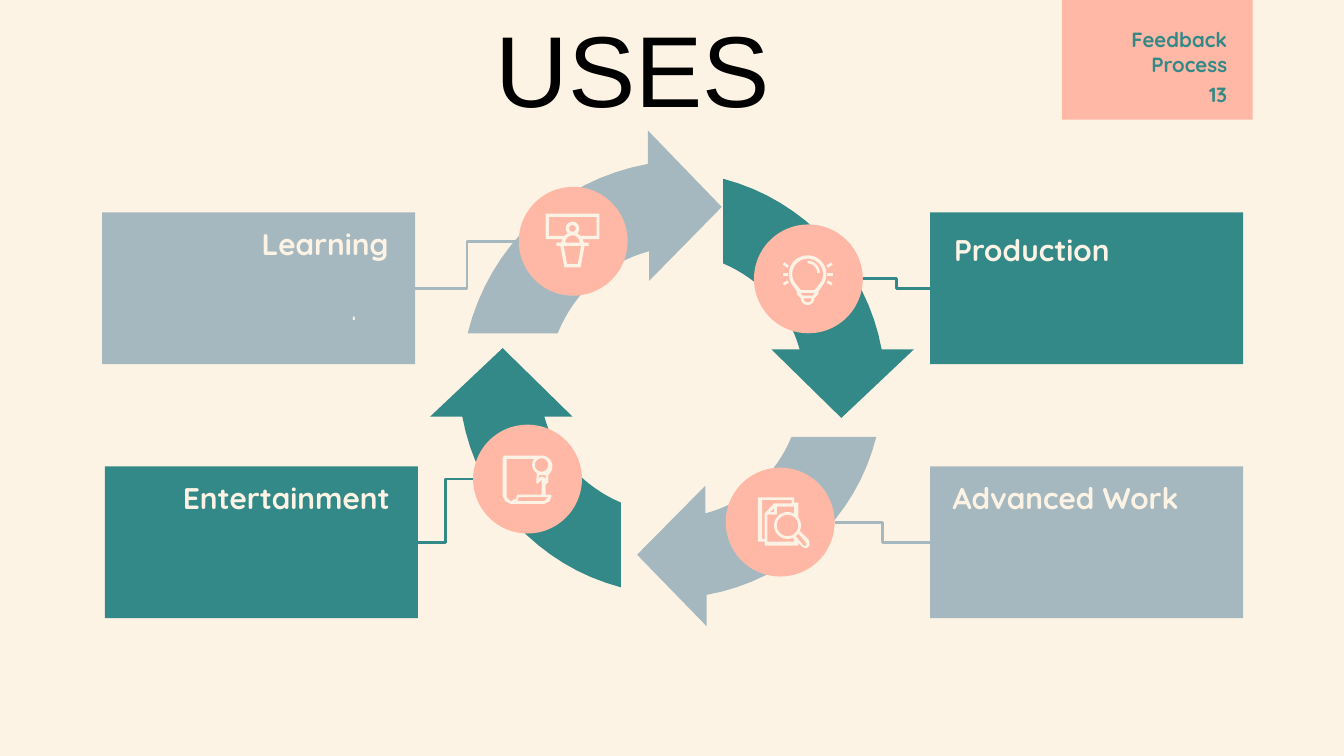
from math import cos, hypot, radians, sin

from lxml import etree
from pptx import Presentation
from pptx.dml.color import RGBColor
from pptx.enum.shapes import MSO_CONNECTOR, MSO_SHAPE
from pptx.enum.text import MSO_ANCHOR, PP_ALIGN
from pptx.oxml.ns import qn
from pptx.util import Inches, Pt

RECTANGLE, OVAL = MSO_SHAPE.RECTANGLE, MSO_SHAPE.OVAL
ELBOW = MSO_CONNECTOR.ELBOW
LEFT, RIGHT = PP_ALIGN.LEFT, PP_ALIGN.RIGHT
TOP, MIDDLE, BOTTOM = MSO_ANCHOR.TOP, MSO_ANCHOR.MIDDLE, MSO_ANCHOR.BOTTOM

COLORS = {"cream": "FDF3E5", "peach": "FFB8A5", "teal": "338987",
          "gray": "A6B8BF", "black": "000000"}
SLIDE_WIDTH = Inches(10)
SLIDE_HEIGHT = SLIDE_WIDTH * 9 // 16
CARD_WIDTH, CARD_HEIGHT, BADGE = 2.33, 1.13, 0.81

# Arrow outlines in hundredths of an inch; six numbers make a Bezier curve
TEAL_ARROW = (142, 178, [(0, 0), (0, 63), (28, 75, 49, 98, 57, 127), (36, 127), (88, 178),
                         (142, 127), (118, 127), (107, 66, 61, 16, 0, 0)])
GRAY_ARROW = (189, 151, [(134, 0), (134, 25), (68, 37, 16, 86, 0, 151), (67, 151),
                         (79, 121, 104, 98, 135, 90), (135, 112), (189, 57)])


def color(name):
    return RGBColor.from_string(COLORS[name])


def arc(x, y, radius, start=0, end=360, steps=24):
    angles = [radians(start + (end - start) * i / steps) for i in range(steps + 1)]
    return [(x + radius * cos(a), y + radius * sin(a)) for a in angles]


def bar(x1, y1, x2, y2, width=2):
    """Outline of a thick stroke between two points."""
    length = hypot(x2 - x1, y2 - y1)
    dx, dy = (y1 - y2) / length * width / 2, (x2 - x1) / length * width / 2
    return [(x1 + dx, y1 + dy), (x2 + dx, y2 + dy), (x2 - dx, y2 - dy), (x1 - dx, y1 - dy)]


def flatten(outline, steps=16):
    points = []
    for node in outline:
        if len(node) == 2:
            points.append(node)
            continue
        corners = [points[-1], node[:2], node[2:4], node[4:]]
        for i in range(1, steps + 1):
            t = i / steps
            weights = ((1 - t) ** 3, 3 * t * (1 - t) ** 2, 3 * t * t * (1 - t), t ** 3)
            points.append(tuple(sum(w * c[axis] for w, c in zip(weights, corners))
                                for axis in (0, 1)))
    return points


# Icons in hundredths of an inch: shapes, each an outer contour followed by its holes
PRESENTER = [[
    [(0, 0), (40, 0), (40, 19), (27.5, 19), (28.5, 21.5), (32, 21.5), (32, 24), (29, 24),
     (26, 40), (14, 40), (11, 24), (8, 24), (8, 21.5), (11.5, 21.5), (12.5, 19), (0, 19)],
    [(2.5, 2.5), (38, 2.5), (38, 16.5), (26, 16.5), *arc(20, 11, 5, 45, -225),
     (14, 16.5), (2.5, 16.5)],
    arc(20, 11, 2.5),
    arc(20, 21.5, 5.3, 180, 360),
    [(13.5, 24), (26.5, 24), (24, 37.5), (16, 37.5)],
]]
BULB = [
    [[*arc(19, 14, 14, 140, 400), (27, 27), (27, 29), (24, 32), *arc(19, 32, 5, 0, 180),
      (11, 29), (11, 27)],
     [*arc(19, 14, 11.5, 140, 400), (24, 26), (14, 26)],
     [(14, 28), (24, 28), (23, 30), (15, 30)],
     arc(19, 32, 3, 0, 180)],
    [arc(19, 13, 9, -90, 0) + arc(19, 13, 7, 0, -90)],
] + [[bar(*ray)] for side in (-1, 1) for ray in (
    (19 + side * 14.5, 14, 19 + side * 18.5, 14),
    (19 + side * 14.5, 8.5, 19 + side * 18, 6),
    (19 + side * 14.5, 19.5, 19 + side * 18, 21.5))]
RESEARCH = [[
    [(0, 0), (27, 0), (27, 4), (30, 4), (30, 15), *arc(22, 21, 10, -35, 30), (31, 25),
     (38, 32), (38.5, 36), (36, 38), (33, 37), (30, 34), (30, 36), (5, 36), (5, 33), (0, 33)],
    [(3, 2), (25, 2), (25, 4.5), (12, 4.5), (5, 12), (5, 31), (3, 31)],
    [(14, 7), (27, 7), *arc(22, 21, 10, -60, -295), (27, 33), (7, 33), (7, 13), (14, 13)],
    arc(22, 21, 8),
    [(12, 8), (12, 11), (9, 11)],
    [(30, 27), (36, 34), (36, 36), (34, 36), (28, 29)],
]]
CERTIFICATE = [[
    [(0, 1), (2, 0), *arc(29, 8, 8, -90, 50), (34, 20), (32, 21.5), (32, 29), (35.5, 29),
     (36.5, 30), (35, 34), (31, 36), (6, 36), (2, 34), (0, 30)],
    arc(29, 7, 5),
    [(27, 14.5), (32, 14.5), (32, 17), (29, 15.5), (27, 17)],
    [(3, 2.5), (24, 2.5), *arc(29, 7, 7, 220, 120), (25, 20), (26, 21), (29, 18), (29, 29),
     (11, 29), (10, 32), (6, 34), (3, 31)],
    [(12, 31), (34, 31), (31, 34), (11, 34)],
]]


def add_block(page, kind, left, top, width, height, fill):
    block = page.shapes.add_shape(kind, Inches(left), Inches(top), Inches(width), Inches(height))
    block.shadow.inherit = False
    block.fill.solid()
    block.fill.fore_color.rgb = color(fill)
    block.line.fill.background()


def add_outline(page, left, top, contours, fill):
    """One filled freeform; contours are hundredths of an inch from left, top."""
    placed = [[(Inches(left + x / 100), Inches(top + y / 100)) for x, y in contour]
              for contour in contours]
    builder = page.shapes.build_freeform(*placed[0][0], scale=1.0)
    builder.add_line_segments(placed[0][1:], close=True)
    for contour in placed[1:]:
        builder.move_to(*contour[0])
        builder.add_line_segments(contour[1:], close=True)
    outline = builder.convert_to_shape()
    outline.shadow.inherit = False
    outline.fill.solid()
    outline.fill.fore_color.rgb = color(fill)
    outline.line.fill.background()


def add_text(page, left, top, width, height, lines, size, ink, font="Quicksand", bold=True,
             align=LEFT, anchor=MIDDLE, inset_left=0.1, inset_top=0.1):
    box = page.shapes.add_textbox(Inches(left), Inches(top), Inches(width), Inches(height))
    frame = box.text_frame
    frame.word_wrap = True
    frame.vertical_anchor = anchor
    frame.margin_left = Inches(inset_left)
    frame.margin_right = Inches(0.1)
    frame.margin_top = frame.margin_bottom = Inches(inset_top)
    for i, line in enumerate(lines):
        para = frame.add_paragraph() if i else frame.paragraphs[0]
        para.alignment = align
        span = para.add_run()
        span.text = line
        span.font.name, span.font.size, span.font.bold = font, Pt(size), bold
        span.font.color.rgb = color(ink)


def add_arrow(page, left, top, width, height, template, fill, turned):
    full_width, full_height, outline = template
    points = []
    for x, y in flatten(outline):
        x, y = x / full_width, y / full_height
        if turned:
            x, y = 1 - x, 1 - y
        points.append((x * width * 100, y * height * 100))
    add_outline(page, left, top, [points], fill)


def add_link(page, start, end, ink):
    link = page.shapes.add_connector(ELBOW, *(Inches(v) for v in (*start, *end)))
    link.line.color.rgb = color(ink)
    link.line.width = Pt(1.5)
    etree.SubElement(link._element.spPr, qn("a:effectLst"))


def add_card(page, left, top, label, label_at, fill, align):
    add_block(page, RECTANGLE, left, top, CARD_WIDTH, CARD_HEIGHT, fill)
    add_text(page, left + label_at[0], top + label_at[1], 2.01, 0.29, [label], 16, "cream",
             align=align)


def add_badge(page, left, top, icon, icon_at):
    add_block(page, OVAL, left, top, BADGE, BADGE, "peach")
    for contours in icon:
        add_outline(page, left + icon_at[0], top + icon_at[1], contours, "cream")


def add_stage(page, card, arrow, badge, label, label_at, icon, icon_at, fill, turned):
    """Arrow, link, card and badge of one stage of the cycle."""
    on_left = card[0] < badge[0]
    card_end = (card[0] + CARD_WIDTH * on_left, card[1] + CARD_HEIGHT / 2)
    badge_end = (badge[0] + BADGE * (not on_left), badge[1] + BADGE / 2)
    add_arrow(page, *arrow, TEAL_ARROW if fill == "teal" else GRAY_ARROW, fill, turned)
    add_link(page, badge_end, card_end, fill)
    add_card(page, *card, label, label_at, fill, RIGHT if on_left else LEFT)
    add_badge(page, *badge, icon, icon_at)


def add_header(page, left, top):
    add_block(page, RECTANGLE, left, top, 1.42, 0.89, "peach")
    add_text(page, left - 1.81, top + 0.14, 3.14, 0.53, ["Feedback", "Process"], 11, "teal",
             align=RIGHT, anchor=BOTTOM)
    add_text(page, left + 0.73, top + 0.52, 0.6, 0.43, ["13"], 11, "teal",
             align=RIGHT, anchor=TOP)


def main():
    deck = Presentation()
    deck.slide_width, deck.slide_height = SLIDE_WIDTH, SLIDE_HEIGHT
    page = deck.slides.add_slide(deck.slide_layouts[6])
    page.background.fill.solid()
    page.background.fill.fore_color.rgb = color("cream")

    add_header(page, 7.9, 0)
    # Cycle, clockwise from the upper right
    add_stage(page, (6.92, 1.58), (5.38, 1.33, 1.42, 1.78), (5.61, 1.67), "Production",
              (0.08, 0.13), BULB, (0.21, 0.23), "teal", False)
    add_stage(page, (6.92, 3.47), (4.74, 3.25, 1.78, 1.41), (5.4, 3.48), "Advanced Work",
              (0.07, 0.09), RESEARCH, (0.24, 0.22), "gray", True)
    add_stage(page, (0.78, 3.47), (3.2, 2.59, 1.42, 1.78), (3.52, 3.16), "Entertainment",
              (0.21, 0.09), CERTIFICATE, (0.22, 0.23), "teal", True)
    add_stage(page, (0.76, 1.58), (3.48, 0.97, 1.89, 1.51), (3.86, 1.39), "Learning",
              (0.22, 0.09), PRESENTER, (0.2, 0.2), "gray", False)
    add_text(page, 0.6, 2.07, 2.16, 0.47, ["."], 14, "cream", "TeX Gyre Adventor", False, RIGHT)
    # Title
    add_text(page, 1.73, 0, 5, 1.01, ["USES"], 54, "black", "Arial", False,
             anchor=TOP, inset_left=1.96, inset_top=0.05)
    deck.save("out.pptx")


if __name__ == "__main__":
    main()
